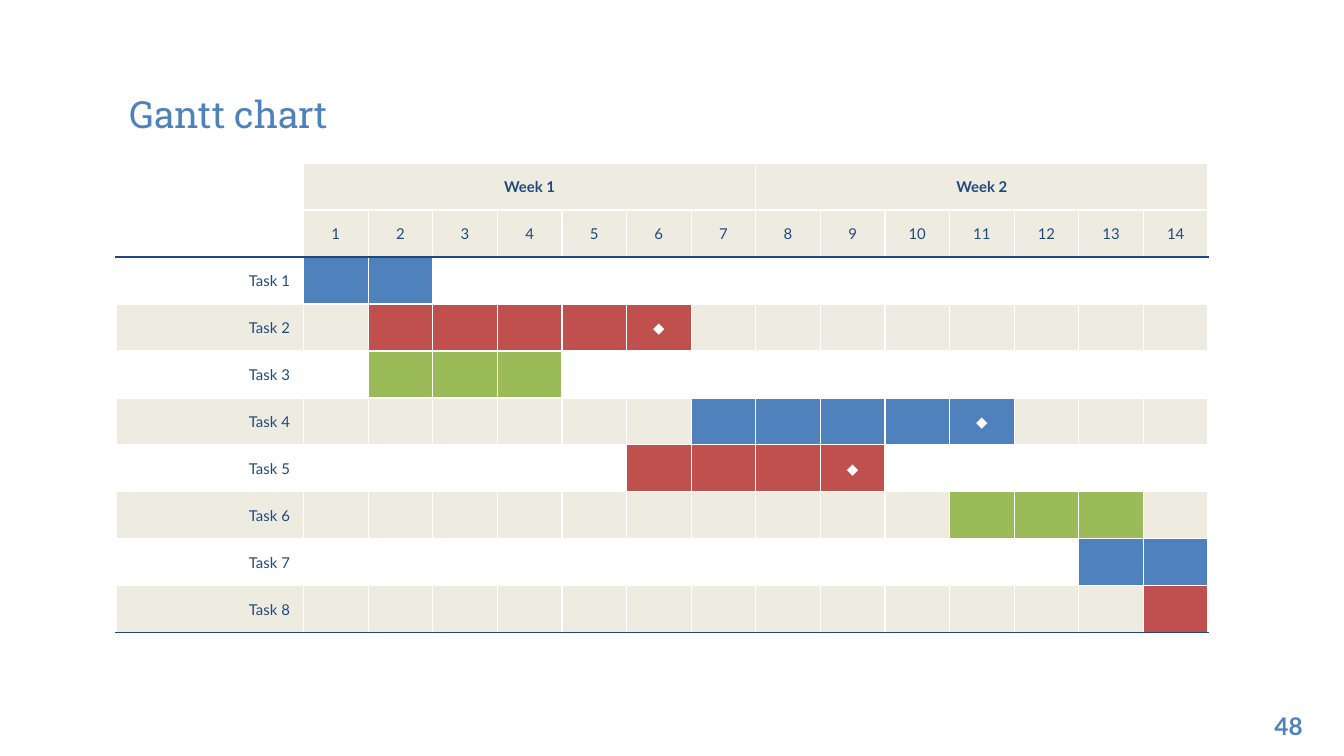
"""Build a Gantt chart slide with eight tasks over two weeks."""
import lxml.etree
import pptx
import pptx.dml.color
import pptx.enum.text
import pptx.oxml.ns
import pptx.util

Pt = pptx.util.Pt
qn = pptx.oxml.ns.qn
Align = pptx.enum.text.PP_ALIGN
Anchor = pptx.enum.text.MSO_ANCHOR
RGB = pptx.dml.color.RGBColor.from_string
HUES = {"blue": "4F81BD", "red": "C0504D", "green": "9BBB59",
        "navy": "1F497D", "sand": "EEECE1", "white": "FFFFFF"}


def write(frame, text, size=8, hue="navy", bold=False, align=Align.CENTER, face="Lato"):
    para = frame.paragraphs[0]
    para.alignment = align
    run = para.add_run()
    run.text = text
    run.font.name = face
    run.font.size = Pt(size)
    run.font.bold = bold
    run.font.color.rgb = RGB(HUES[hue])


def edge(cell, side, hue):
    line = lxml.etree.SubElement(cell._tc.get_or_add_tcPr(), qn("a:ln" + side), w=str(Pt(0.75)))
    fill = lxml.etree.SubElement(line, qn("a:solidFill"))
    lxml.etree.SubElement(fill, qn("a:srgbClr"), val=HUES[hue])


deck = pptx.Presentation()
deck.slide_width, deck.slide_height = Pt(720), Pt(405)
slide = deck.slides.add_slide(deck.slide_layouts[5])

title = slide.shapes.title
title.left, title.top, title.width, title.height = Pt(62), Pt(24.5), Pt(596), Pt(55.5)
number = slide.shapes.add_textbox(Pt(661.7), Pt(373.7), Pt(43.2), Pt(31))
for box in (title, number):
    frame = box.text_frame
    frame.auto_size = pptx.enum.text.MSO_AUTO_SIZE.NONE
    frame.word_wrap = True
    frame.margin_left = frame.margin_right = Pt(7.2)
    frame.margin_top = frame.margin_bottom = Pt(7.2)
title.text_frame.vertical_anchor = Anchor.BOTTOM
write(title.text_frame, "Gantt chart", size=20, hue="blue", align=Align.LEFT, face="Roboto Slab")
write(number.text_frame, "48", size=13, hue="blue", bold=True, align=Align.RIGHT)

tasks = [("blue", 1, 2, False), ("red", 2, 6, True), ("green", 2, 4, False),
         ("blue", 7, 11, True), ("red", 6, 9, True), ("green", 11, 13, False),
         ("blue", 13, 14, False), ("red", 14, 14, False)]
days = 14
rows = len(tasks) + 2
wide, step, tall = 100.5, 34.63, 25.18
table = slide.shapes.add_table(rows, days + 1, Pt(62.1), Pt(87.3),
                               Pt(wide + days * step), Pt(rows * tall)).table
table.first_row = table.horz_banding = False
for col, column in enumerate(table.columns):
    column.width = Pt(step if col else wide)

for row in range(rows):
    table.rows[row].height = Pt(tall)
    for col in range(days + 1):
        cell = table.cell(row, col)
        cell.vertical_anchor = Anchor.MIDDLE
        cell.margin_left = cell.margin_right = Pt(7.2)
        cell.margin_top = cell.margin_bottom = Pt(3.6)
        edge(cell, "L", "white")
        edge(cell, "R", "white")
        edge(cell, "T", "navy" if row == 2 else "white")
        edge(cell, "B", "navy" if row in (1, rows - 1) else "white")

        text, look, fill = "", {}, None
        if row < 2:
            fill = "sand" if col else None
            if row == 0 and col % 7 == 1:
                text, look = f"Week {col // 7 + 1}", {"bold": True}
            elif row == 1 and col:
                text = str(col)
        else:
            hue, start, end, mark = tasks[row - 2]
            fill = hue if start <= col <= end else "sand" if row % 2 else None
            if col == 0:
                text, look = f"Task {row - 1}", {"align": Align.RIGHT}
            elif mark and col == end:
                text, look = "◆", {"hue": "white"}

        if fill:
            cell.fill.solid()
            cell.fill.fore_color.rgb = RGB(HUES[fill])
        else:
            cell.fill.background()
        if text:
            write(cell.text_frame, text, **look)
        else:
            para = cell.text_frame.paragraphs[0]
            lxml.etree.SubElement(para._p, qn("a:endParaRPr"), sz="800")

for first in (1, 8):
    table.cell(0, first).merge(table.cell(0, first + 6))

deck.save("out.pptx")
